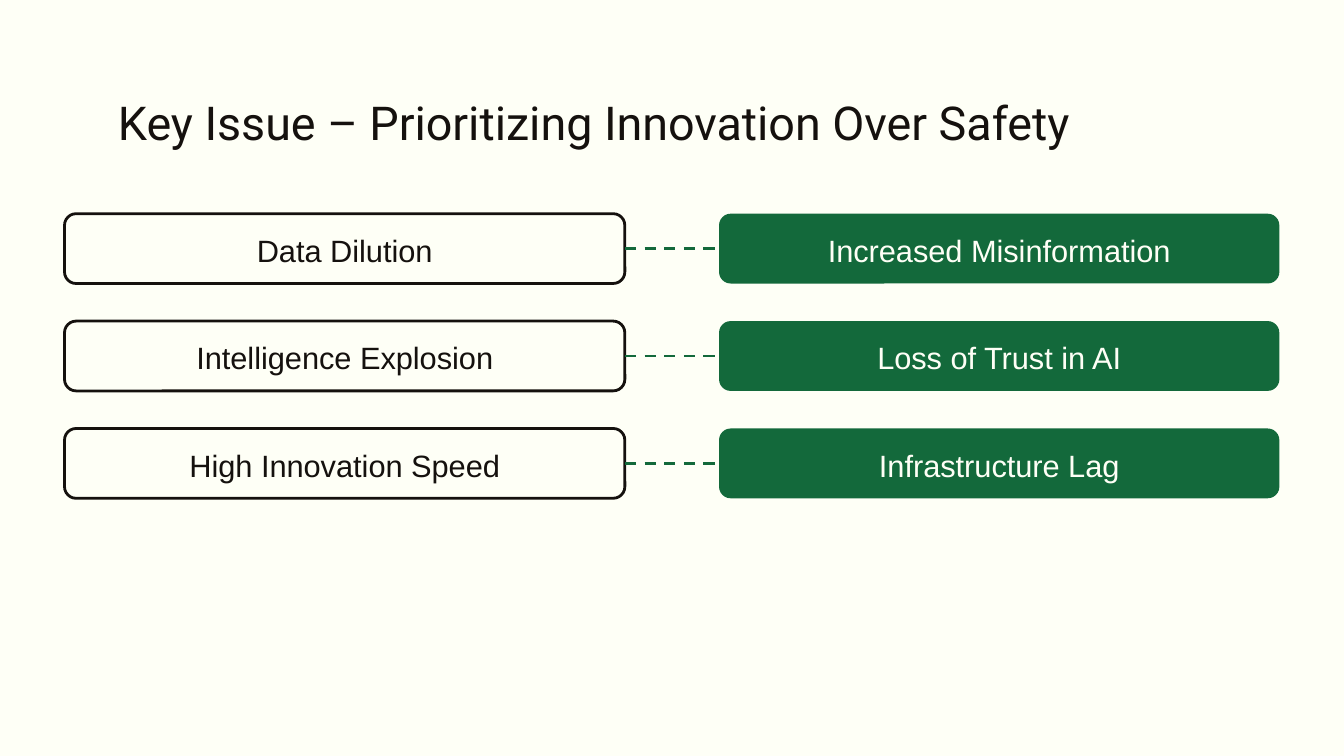
import pptx
import pptx.dml.color
import pptx.enum.dml
import pptx.enum.shapes
import pptx.enum.text
import pptx.oxml.ns
import pptx.util
from pptx.util import Cm
from lxml import etree

INK = pptx.dml.color.RGBColor(0x15, 0x11, 0x0E)
IVORY = pptx.dml.color.RGBColor(0xFE, 0xFF, 0xF6)
GREEN = pptx.dml.color.RGBColor(0x13, 0x69, 0x3B)
ALIGN = pptx.enum.text.PP_ALIGN
ROUNDED = pptx.enum.shapes.MSO_SHAPE.ROUNDED_RECTANGLE
STRAIGHT = pptx.enum.shapes.MSO_CONNECTOR.STRAIGHT

ISSUES = [
    ("Data Dilution", "Increased Misinformation"),
    ("Intelligence Explosion", "Loss of Trust in AI"),
    ("High Innovation Speed", "Infrastructure Lag"),
]
BOX_WIDTH, BOX_HEIGHT = Cm(10.59), Cm(1.32)
CAUSE_LEFT, EFFECT_LEFT = Cm(1.22), Cm(13.59)
FIRST_TOP, ROW_PITCH = Cm(4.04), Cm(2.03)


def write_text(shape, text, size, font="Arial", color=INK, align=ALIGN.CENTER, top_inset=Cm(0.18)):
    frame = shape.text_frame
    frame.word_wrap = True
    frame.vertical_anchor = pptx.enum.text.MSO_ANCHOR.MIDDLE
    frame.margin_top = top_inset
    para = frame.paragraphs[0]
    para.alignment = align
    span = para.add_run()
    span.text = text
    span.font.size = pptx.util.Pt(size)
    span.font.name = font
    span.font.color.rgb = color


def add_box(page, left, top):
    box = page.shapes.add_shape(ROUNDED, left, top, BOX_WIDTH, BOX_HEIGHT)
    box.shadow.inherit = False
    return box


deck = pptx.Presentation()
deck.slide_width, deck.slide_height = Cm(25.4), Cm(14.29)
page = deck.slides.add_slide(deck.slide_layouts[6])
page.background.fill.solid()
page.background.fill.fore_color.rgb = IVORY

title = page.shapes.add_textbox(Cm(1.98), Cm(1.5), Cm(21.59), Cm(1.52))
write_text(title, "Key Issue – Prioritizing Innovation Over Safety", 25,
           font="Roboto", align=ALIGN.LEFT, top_inset=Cm(0.2))

for row, (cause, effect) in enumerate(ISSUES):
    top = FIRST_TOP + row * ROW_PITCH

    cause_box = add_box(page, CAUSE_LEFT, top)
    cause_box.fill.background()
    cause_box.line.color.rgb = INK
    cause_box.line.width = pptx.util.Pt(1.5)
    write_text(cause_box, cause, 16.5)

    effect_box = add_box(page, EFFECT_LEFT, top)
    effect_box.fill.solid()
    effect_box.fill.fore_color.rgb = GREEN
    effect_box.line.fill.background()
    write_text(effect_box, effect, 16.5, color=IVORY)

    middle = top + BOX_HEIGHT // 2
    link = page.shapes.add_connector(STRAIGHT, CAUSE_LEFT + BOX_WIDTH, middle, EFFECT_LEFT, middle)
    link.begin_connect(cause_box, 3)
    link.end_connect(effect_box, 1)
    link.line.color.rgb = GREEN
    link.line.width = pptx.util.Pt(1.5)
    link.line.dash_style = pptx.enum.dml.MSO_LINE.DASH
    etree.SubElement(link._element.spPr, pptx.oxml.ns.qn("a:effectLst"))

deck.save("out.pptx")
